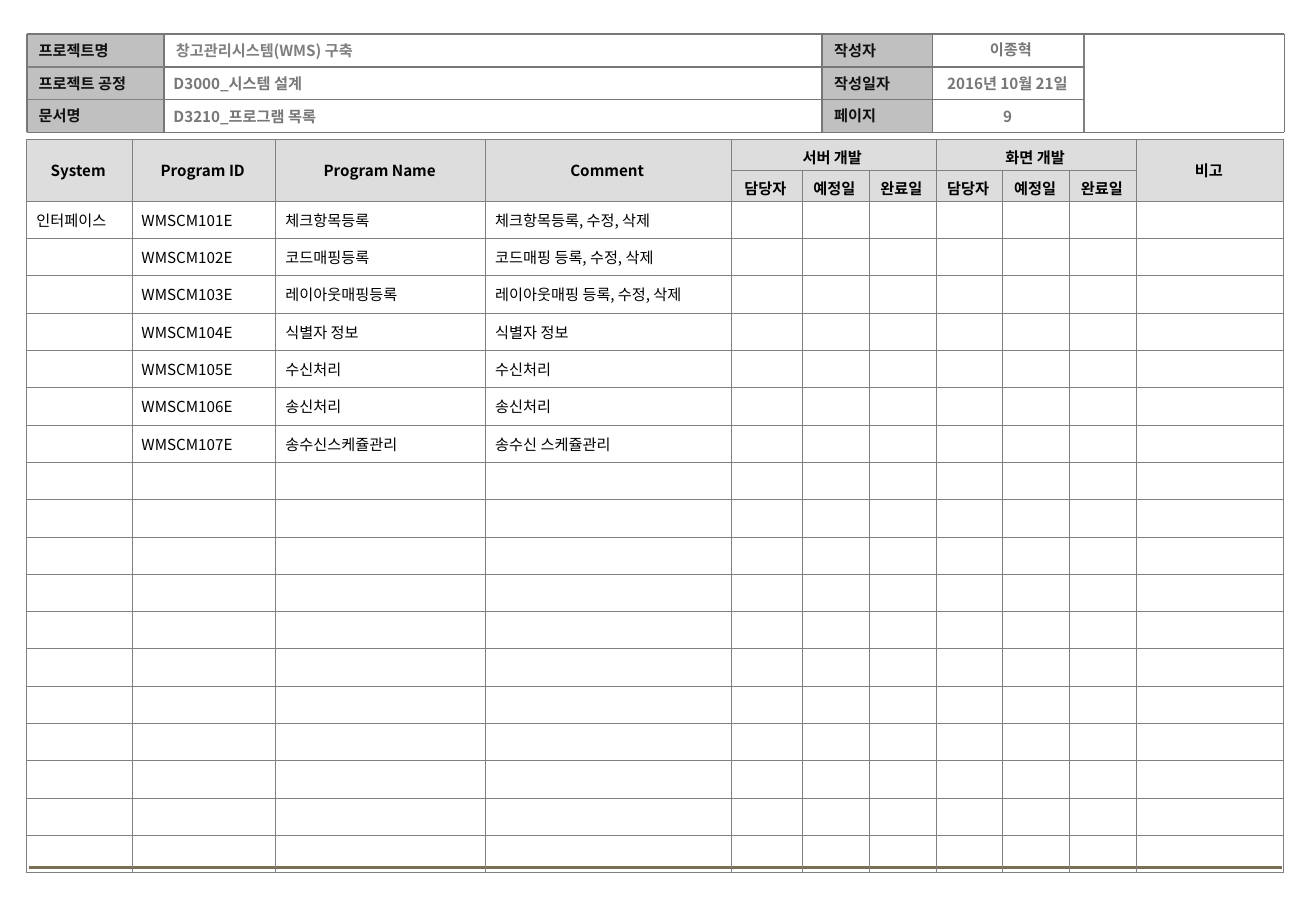
from lxml.etree import SubElement
from pptx import Presentation
from pptx.dml.color import RGBColor
from pptx.enum.shapes import MSO_CONNECTOR as Connector, MSO_SHAPE as Shape
from pptx.enum.text import MSO_ANCHOR as Anchor, MSO_AUTO_SIZE as AutoSize, PP_ALIGN as Align
from pptx.oxml.ns import qn
from pptx.util import Cm, Pt

FONT = "Noto Sans CJK KR"
COLORS = {
    "label": "111111", "label_fill": "C0C0C0", "project": "7F7F7F",
    "value": "777777", "rule": "777777", "row_rule": "808080",
    "cell": "000000", "head_fill": "DDDDDD", "border": "808080", "footer": "7A6F54",
}

# Header block grid, in centimetres
LEFT, LABEL_END, VALUE_END, SIDE_END, DATE_END, RIGHT = 0.56, 3.43, 17.2, 19.51, 22.68, 26.87
ROW_EDGES = (0.71, 1.4, 2.08, 2.77)
LABELS = (("프로젝트명", "작성자"), ("프로젝트 공정", "작성일자"), ("문서명", "페이지"))

# Program table
COLUMN_WIDTHS = (2.2, 3.01, 4.39, 5.13, 1.49, 1.4, 1.4, 1.4, 1.4, 1.4, 3.08)
HEAD_HEIGHT, ROW_HEIGHT, ROW_COUNT = 0.64, 0.78, 20
TALL_HEADS = {0: "System", 1: "Program ID", 2: "Program Name", 3: "Comment", 10: "비고"}
GROUP_HEADS = {4: "서버 개발", 7: "화면 개발"}
STEPS = ("담당자", "예정일", "완료일")
PROGRAMS = (
    ("인터페이스", "WMSCM101E", "체크항목등록", "체크항목등록, 수정, 삭제"),
    ("", "WMSCM102E", "코드매핑등록", "코드매핑 등록, 수정, 삭제"),
    ("", "WMSCM103E", "레이아웃매핑등록", "레이아웃매핑 등록, 수정, 삭제"),
    ("", "WMSCM104E", "식별자 정보", "식별자 정보"),
    ("", "WMSCM105E", "수신처리", "수신처리"),
    ("", "WMSCM106E", "송신처리", "송신처리"),
    ("", "WMSCM107E", "송수신스케쥴관리", "송수신 스케쥴관리"),
)


def color(name):
    return RGBColor.from_string(COLORS[name])


def write(frame, text, color_name, bold=True, align=Align.LEFT, before=2.2):
    frame.text = text
    para = frame.paragraphs[0]
    para.alignment = align
    para.space_before = Pt(before)
    font = para.font
    font.name, font.size, font.bold = FONT, Pt(9), bold
    font.color.rgb = color(color_name)
    # Korean glyphs take the East Asian typeface
    SubElement(font._element, qn("a:ea"), typeface=FONT)
    if not text:
        SubElement(para._p, qn("a:endParaRPr"), sz="900")


def add_line(page, start, end, color_name, width=1):
    line = page.shapes.add_connector(Connector.STRAIGHT, *map(Cm, start + end))
    line.line.color.rgb = color(color_name)
    line.line.width = Pt(width)
    SubElement(line._element.spPr, qn("a:effectLst"))


def add_label(page, left, right, row, text):
    top, bottom = ROW_EDGES[row:row + 2]
    box = page.shapes.add_shape(Shape.RECTANGLE, Cm(left), Cm(top), Cm(right - left), Cm(bottom - top))
    box.shadow.inherit = False
    box.fill.solid()
    box.fill.fore_color.rgb = color("label_fill")
    box.line.fill.background()
    box.text_frame.vertical_anchor = Anchor.MIDDLE
    write(box.text_frame, text, "label")


def add_value(page, place, text, align=Align.LEFT, before=5.6):
    box = page.shapes.add_textbox(*map(Cm, place))
    frame = box.text_frame
    frame.word_wrap = True
    frame.auto_size = AutoSize.SHAPE_TO_FIT_TEXT
    write(frame, text, "value", align=align, before=before)


def add_project_name(page, text):
    box = page.shapes.add_textbox(Cm(LABEL_END), Cm(ROW_EDGES[0]), Cm(VALUE_END - LABEL_END),
                                  Cm(ROW_EDGES[1] - ROW_EDGES[0]))
    box.text_frame.word_wrap = True
    box.text_frame.vertical_anchor = Anchor.MIDDLE
    write(box.text_frame, text, "project")


def add_header(page):
    for row, (label, side_label) in enumerate(LABELS):
        add_label(page, LEFT, LABEL_END, row, label)
        add_label(page, VALUE_END, SIDE_END, row, side_label)
    add_project_name(page, "창고관리시스템(WMS) 구축")

    # Grid lines
    top, bottom = ROW_EDGES[0], ROW_EDGES[-1]
    for x in (LABEL_END, VALUE_END, SIDE_END, DATE_END, LEFT, RIGHT):
        add_line(page, (x, top), (x, bottom), "row_rule" if x == DATE_END else "rule")
    for y in ROW_EDGES[1:-1]:
        add_line(page, (LEFT, y), (LABEL_END, y), "row_rule")
        add_line(page, (LABEL_END, y), (DATE_END, y), "rule")
    for y in (top, bottom):
        add_line(page, (LEFT, y), (RIGHT, y), "rule")

    # Values
    add_value(page, (3.38, 1.42, 12.19, 0.64), "D3000_시스템 설계")
    add_value(page, (3.38, 2.13, 12.19, 0.64), "D3210_프로그램 목록")
    add_value(page, (19.48, 2.13, 3.2, 0.69), "9", Align.CENTER, before=0)
    add_value(page, (19.15, 0.71, 3.99, 0.64), "이종혁", Align.CENTER)
    add_value(page, (19.08, 1.42, 3.99, 0.64), "2016년 10월 21일", Align.CENTER)


def add_borders(cell):
    properties = cell._tc.get_or_add_tcPr()
    for side in ("lnL", "lnR", "lnT", "lnB"):
        edge = SubElement(properties, qn(f"a:{side}"), w=str(Pt(0.45)))
        fill = SubElement(edge, qn("a:solidFill"))
        SubElement(fill, qn("a:srgbClr"), val=COLORS["border"])


def fill_cell(cell, text, is_head):
    cell.vertical_anchor = Anchor.MIDDLE
    cell.margin_left, cell.margin_right = Cm(0.2), Cm(0.25)
    cell.margin_top = cell.margin_bottom = Cm(0.13)
    add_borders(cell)
    if is_head:
        cell.fill.solid()
        cell.fill.fore_color.rgb = color("head_fill")
    else:
        cell.fill.background()
    write(cell.text_frame, text, "cell", is_head, Align.CENTER if is_head else Align.LEFT)


def table_texts():
    """Text of each filled cell, keyed by row and column."""
    texts = {(0, column): text for column, text in (TALL_HEADS | GROUP_HEADS).items()}
    for first in GROUP_HEADS:
        texts |= {(1, first + offset): step for offset, step in enumerate(STEPS)}
    for row, program in enumerate(PROGRAMS, start=2):
        texts |= {(row, column): text for column, text in enumerate(program)}
    return texts


def add_program_table(page):
    height = 2 * HEAD_HEIGHT + (ROW_COUNT - 2) * ROW_HEIGHT
    table = page.shapes.add_table(ROW_COUNT, len(COLUMN_WIDTHS), Cm(LEFT), Cm(2.92),
                                  Cm(sum(COLUMN_WIDTHS)), Cm(height)).table
    table.first_row = table.horz_banding = False
    for column, width in zip(table.columns, COLUMN_WIDTHS):
        column.width = Cm(width)
    texts = table_texts()
    for index, row in enumerate(table.rows):
        row.height = Cm(HEAD_HEIGHT if index < 2 else ROW_HEIGHT)
        for column, cell in enumerate(row.cells):
            fill_cell(cell, texts.get((index, column), ""), index < 2)

    # Merged headings
    for column in TALL_HEADS:
        table.cell(0, column).merge(table.cell(1, column))
    for column in GROUP_HEADS:
        table.cell(0, column).merge(table.cell(0, column + len(STEPS) - 1))


def main():
    deck = Presentation()
    deck.slide_width, deck.slide_height = Cm(27.53), Cm(19.05)
    page = deck.slides.add_slide(deck.slide_layouts[6])
    add_line(page, (0.61, 18.14), (26.82, 18.14), "footer", 1.75)
    add_header(page)
    add_program_table(page)
    deck.save("out.pptx")


if __name__ == "__main__":
    main()
